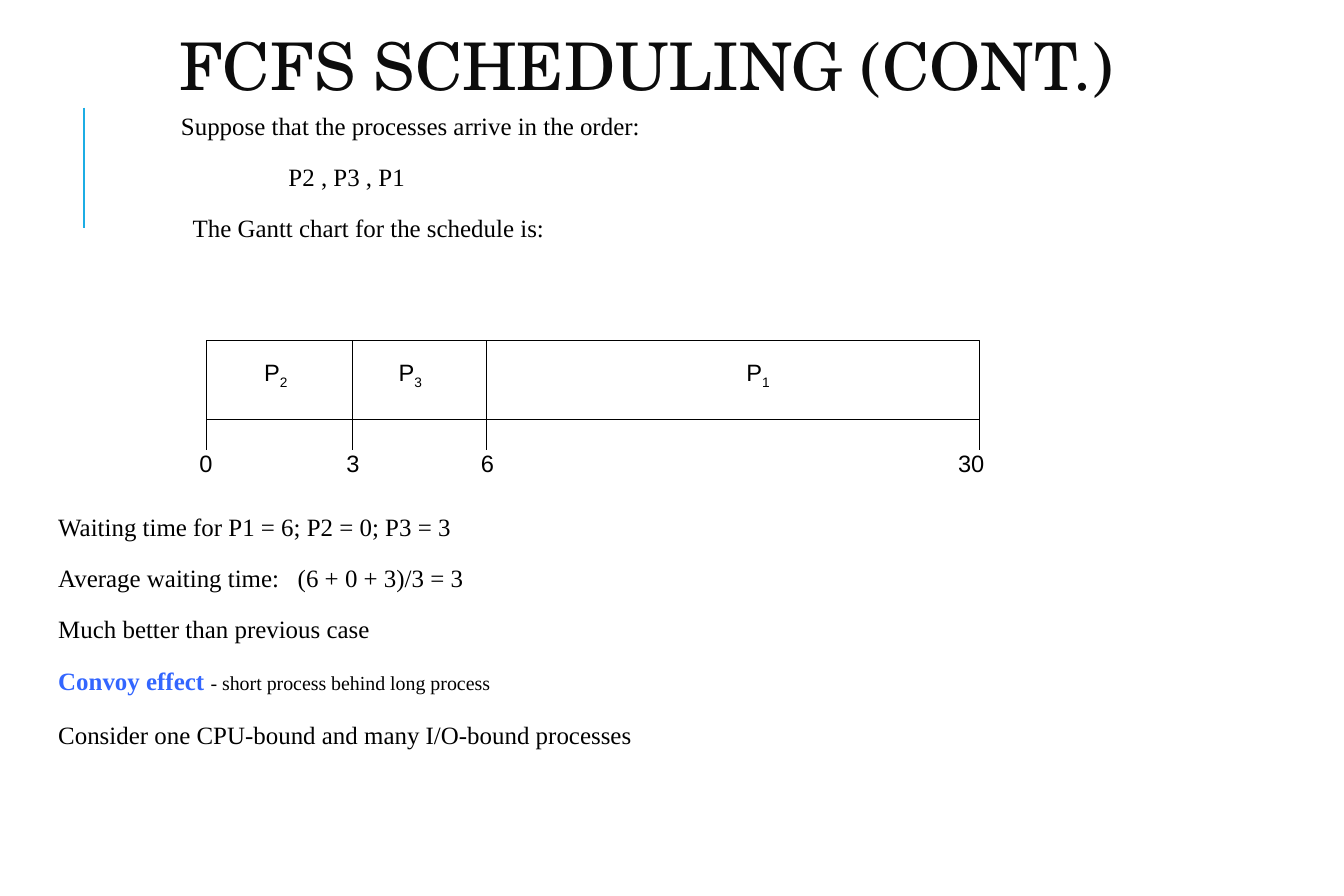
from lxml import etree
from pptx import Presentation, util as u
from pptx.dml.color import RGBColor
from pptx.enum import shapes, text
from pptx.oxml.ns import qn

BLACK = RGBColor(0x00, 0x00, 0x00)
INK = RGBColor(0x0C, 0x0C, 0x0C)
WHITE = RGBColor(0xFF, 0xFF, 0xFF)
ACCENT = RGBColor(0x1C, 0xAD, 0xE4)
BLUE = RGBColor(0x33, 0x66, 0xFF)
SERIF, SANS = "Times New Roman", "Arial"

prs = Presentation()
prs.slide_width, prs.slide_height = u.Inches(15), u.Inches(10)
s = prs.slides.add_slide(prs.slide_layouts[6])


def add_line(parent, x1, y1, x2, y2, color=BLACK, width=0.75):
    c = parent.add_connector(shapes.MSO_CONNECTOR.STRAIGHT, *map(u.Inches, (x1, y1, x2, y2)))
    c.line.color.rgb, c.line.width = color, u.Pt(width)
    etree.SubElement(c._element.spPr, qn("a:effectLst"))


def add_run(p, words, size, font, color=BLACK, bold=False):
    r = p.add_run()
    r.text = words
    r.font.size, r.font.name, r.font.bold = u.Pt(size), font, bold
    r.font.color.rgb = color
    return r


add_line(s.shapes, 0.94, 1.2, 0.94, 2.54, ACCENT, 1.5)

# Title
tf = s.shapes.add_textbox(*map(u.Inches, (1.9, 0.38, 12.64, 0.84))).text_frame
tf.word_wrap, tf.vertical_anchor = True, text.MSO_ANCHOR.MIDDLE
tf.paragraphs[0].line_spacing = 0.8
add_run(tf.paragraphs[0], "FCFS SCHEDULING (CONT.)", 52.8, "TeX Gyre Schola", INK)

# Body: (top, height, paragraphs), each paragraph as (indent, line spacing, runs)
bodies = [
    (1.22, 1.7, [
        (1.5, 0.9, [("Suppose that the processes arrive in the order:", 20)]),
        (2.7, 0.9, [("P2 , P3 , P1", 20)]),
        (1.63, 0.9, [("The Gantt chart for the schedule is:", 20)])]),
    (5.7, 3.92, [
        (0.13, 0.9, [("Waiting time for P1 = 6; P2 = 0; P3 = 3", 20)]),
        (0.13, 0.9, [("Average waiting time:   (6 + 0 + 3)/3 = 3", 20)]),
        (0.13, 0.9, [("Much better than previous case", 20)]),
        (0.13, 0.9, [("Convoy effect ", 20, SERIF, BLUE, True),
                     ("- short process behind long process", 16)]),
        (0.13, 1.0, [("Consider one CPU-bound and many I/O-bound processes", 20)])]),
]
for top, height, paragraphs in bodies:
    tf = s.shapes.add_textbox(*map(u.Inches, (0.47, top, 14.53, height))).text_frame
    tf.word_wrap = True
    tf.margin_left = tf.margin_right = u.Inches(0.05)
    for i, (indent, spacing, runs) in enumerate(paragraphs):
        p = tf.add_paragraph() if i else tf.paragraphs[0]
        p._p.get_or_add_pPr().set("marL", str(u.Inches(indent)))
        p.line_spacing, p.space_before = spacing, u.Pt(19.5 if i else 0)
        for words, size, *style in runs:
            add_run(p, words, size, *(style or [SERIF]))

# Gantt chart
TOP, BOTTOM, TICK_END = 3.8, 4.68, 5.02
times = [("0", 2.3, 2.3), ("3", 3.93, 3.94), ("6", 5.43, 5.44), ("30", 10.93, 10.84)]
processes = [("2", 3.08), ("3", 4.58), ("1", 8.46)]
left, right = times[0][1], times[-1][1]

gantt = s.shapes.add_group_shape().shapes
bar = gantt.add_shape(shapes.MSO_SHAPE.RECTANGLE,
                      *map(u.Inches, (left, TOP, right - left, BOTTOM - TOP)))
bar.shadow.inherit = False
bar.fill.solid()
bar.fill.fore_color.rgb = WHITE
bar.line.color.rgb, bar.line.width = BLACK, u.Pt(0.75)

for _, x, _ in times:
    add_line(gantt, x, BOTTOM, x, TICK_END)
for _, x, _ in times[1:-1]:
    add_line(gantt, x, TOP, x, BOTTOM)

labels = [("P", number, x, 3.96) for number, x in processes]
labels += [(time, "", x, 4.96) for time, _, x in times]
for words, subscript, center, top in labels:
    tf = gantt.add_textbox(*map(u.Inches, (center - 0.25, top, 0.5, 0.42))).text_frame
    tf.word_wrap, tf.vertical_anchor = False, text.MSO_ANCHOR.MIDDLE
    p = tf.paragraphs[0]
    p.alignment = text.PP_ALIGN.CENTER
    add_run(p, words, 19, SANS)
    if subscript:
        r = add_run(p, subscript, 19, SANS)
        r.font._element.set("baseline", "-25000")

prs.save("out.pptx")
